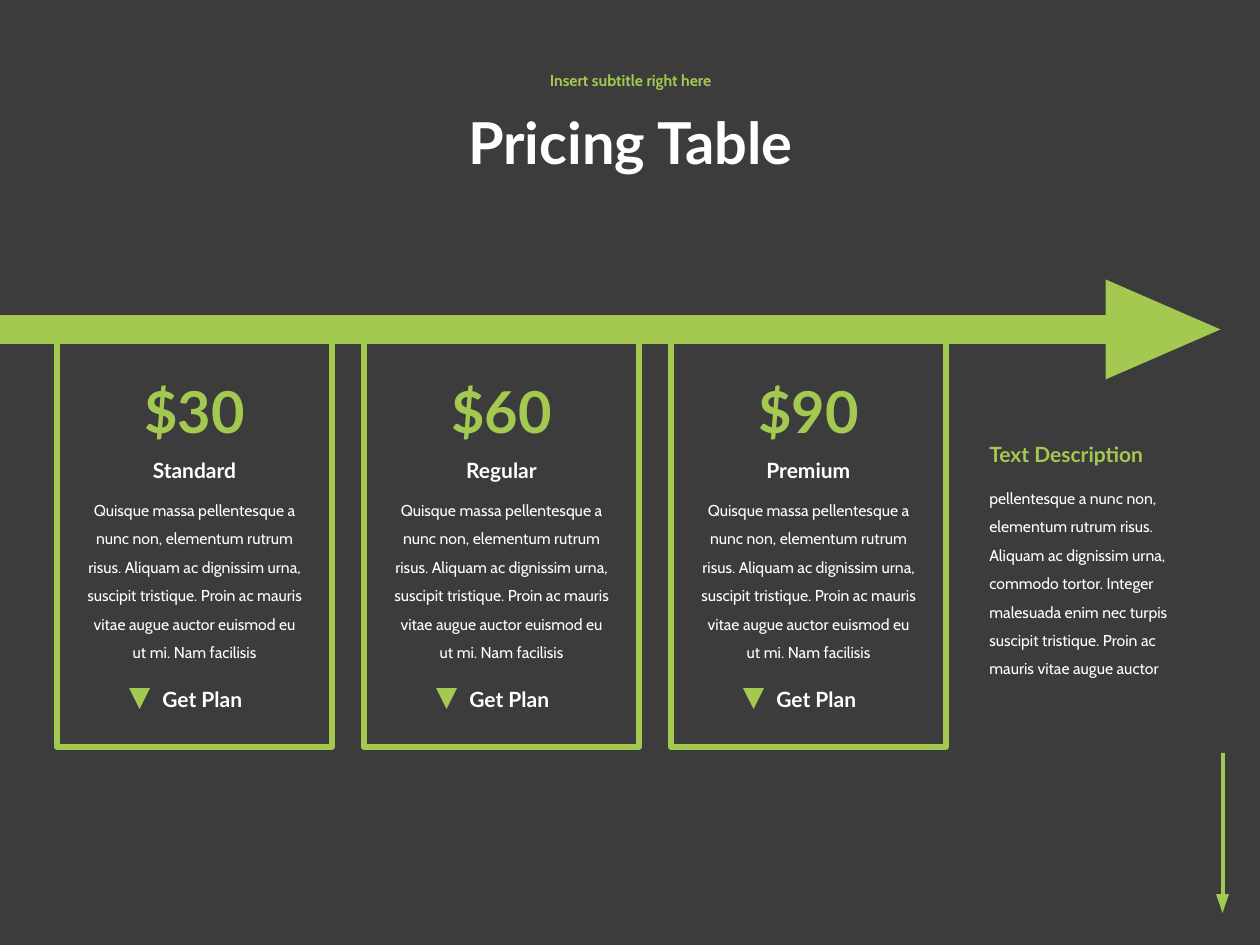
"""Build the pricing table slide with three plans under an arrow."""
from typing import NamedTuple

from pptx import Presentation
from pptx.dml.color import RGBColor
from pptx.enum.shapes import MSO_SHAPE
from pptx.enum.text import MSO_ANCHOR, MSO_AUTO_SIZE, PP_ALIGN
from pptx.util import Emu, Pt

BACKGROUND = RGBColor(0x3C, 0x3C, 0x3C)
GREEN = RGBColor(0xA3, 0xC9, 0x51)
WHITE = RGBColor(0xFF, 0xFF, 0xFF)
PIXELS_PER_INCH = 126
PLAN_PITCH = 307
PLAN_TEXT = (
    "Quisque massa pellentesque a nunc non, elementum rutrum risus. "
    "Aliquam ac dignissim urna, suscipit tristique. Proin ac mauris "
    "vitae augue auctor euismod eu ut mi. Nam facilisis"
)
SIDE_TEXT = (
    "pellentesque a nunc non, elementum rutrum risus. Aliquam ac dignissim "
    "urna, commodo tortor. Integer malesuada enim nec turpis suscipit "
    "tristique. Proin ac mauris vitae augue auctor"
)


class Box(NamedTuple):
    """Position and size in px."""

    left: int
    top: int
    width: int
    height: int

    def shifted(self, distance: int):
        """Return the box moved right by a distance."""
        return self._replace(left=self.left + distance)


class Style(NamedTuple):
    """Look of one paragraph."""

    font: str
    size: int
    color: RGBColor
    bold: bool = True
    spacing: float = 1.0


class Plan(NamedTuple):
    """One pricing plan."""

    price: str
    name: str


PLANS = [Plan("$30", "Standard"), Plan("$60", "Regular"), Plan("$90", "Premium")]
TITLE = Style("Lato", 33, WHITE, spacing=0.9)
SUBTITLE = Style("Cabin", 9, GREEN, spacing=0.9)
PRICE = Style("Lato", 33, GREEN)
HEADING = Style("Lato", 12, WHITE)
SIDE_HEADING = Style("Lato", 12, GREEN)
BODY = Style("Cabin", 9, WHITE, bold=False, spacing=1.5)


def px(value: int) -> Emu:
    """Turn px into EMU."""
    return Emu(round(value * 914400 / PIXELS_PER_INCH))


def write(shape, text: str, style: Style, align=PP_ALIGN.LEFT, anchor=MSO_ANCHOR.TOP) -> None:
    """Put one styled run into a shape."""
    frame = shape.text_frame
    frame.word_wrap = True
    frame.auto_size = MSO_AUTO_SIZE.NONE
    frame.vertical_anchor = anchor
    paragraph = frame.paragraphs[0]
    paragraph.alignment = align
    paragraph.line_spacing = style.spacing
    paragraph.space_before = Pt(0)
    run = paragraph.add_run()
    run.text = text
    run.font.name = style.font
    run.font.size = Pt(style.size)
    run.font.bold = style.bold
    run.font.color.rgb = style.color


def add_text(slide, box: Box, text: str, style: Style, align=PP_ALIGN.LEFT, anchor=MSO_ANCHOR.TOP) -> None:
    """Add a text box."""
    write(slide.shapes.add_textbox(*map(px, box)), text, style, align, anchor)


def add_solid(slide, kind: MSO_SHAPE, box: Box, fill: RGBColor = GREEN, rotation: int = 0):
    """Add a filled shape without outline."""
    shape = slide.shapes.add_shape(kind, *map(px, box))
    shape.shadow.inherit = False
    shape.fill.solid()
    shape.fill.fore_color.rgb = fill
    shape.line.fill.background()
    shape.rotation = rotation
    return shape


def add_frame(slide, offset: int) -> None:
    """Add the outlined frame of a plan."""
    frame = add_solid(slide, MSO_SHAPE.RECTANGLE, Box(57, 326, 275, 421).shifted(offset), BACKGROUND)
    frame.line.color.rgb = GREEN
    frame.line.width = Pt(3)


def add_plan(slide, plan: Plan, offset: int) -> None:
    """Add the texts and marker of a plan."""
    center = PP_ALIGN.CENTER
    add_text(slide, Box(113, 370, 163, 83).shifted(offset), plan.price, PRICE, center)
    add_text(slide, Box(106, 451, 177, 38).shifted(offset), plan.name, HEADING, center)
    add_text(slide, Box(74, 485, 241, 182).shifted(offset), PLAN_TEXT, BODY, center)
    add_text(slide, Box(150, 680, 121, 38).shifted(offset), "Get Plan", HEADING)
    add_solid(slide, MSO_SHAPE.ISOSCELES_TRIANGLE, Box(129, 688, 21, 21).shifted(offset), rotation=180)


def main() -> None:
    """Build and save the slide."""
    presentation = Presentation()
    presentation.slide_width, presentation.slide_height = px(1260), px(945)
    slide = presentation.slides.add_slide(presentation.slide_layouts[5])
    slide.background.fill.solid()
    slide.background.fill.fore_color.rgb = BACKGROUND

    title = slide.shapes.title
    title.left, title.top, title.width, title.height = map(px, Box(276, 81, 709, 130))
    write(title, "Pricing Table", TITLE, PP_ALIGN.CENTER, MSO_ANCHOR.MIDDLE)
    add_text(slide, Box(276, 57, 709, 48), "Insert subtitle right here", SUBTITLE,
             PP_ALIGN.CENTER, MSO_ANCHOR.MIDDLE)

    add_solid(slide, MSO_SHAPE.RECTANGLE, Box(1221, 753, 4, 141))
    add_solid(slide, MSO_SHAPE.ISOSCELES_TRIANGLE, Box(1216, 894, 13, 19), rotation=180)

    for index in range(len(PLANS)):
        add_frame(slide, index * PLAN_PITCH)
    add_solid(slide, MSO_SHAPE.RECTANGLE, Box(-26, 315, 1133, 29))
    add_solid(slide, MSO_SHAPE.ISOSCELES_TRIANGLE, Box(1113, 272, 100, 115), rotation=90)

    add_text(slide, Box(977, 473, 223, 210), SIDE_TEXT, BODY)
    add_text(slide, Box(977, 435, 223, 38), "Text Description", SIDE_HEADING)
    for index, plan in enumerate(PLANS):
        add_plan(slide, plan, index * PLAN_PITCH)

    presentation.save("out.pptx")


if __name__ == "__main__":
    main()
